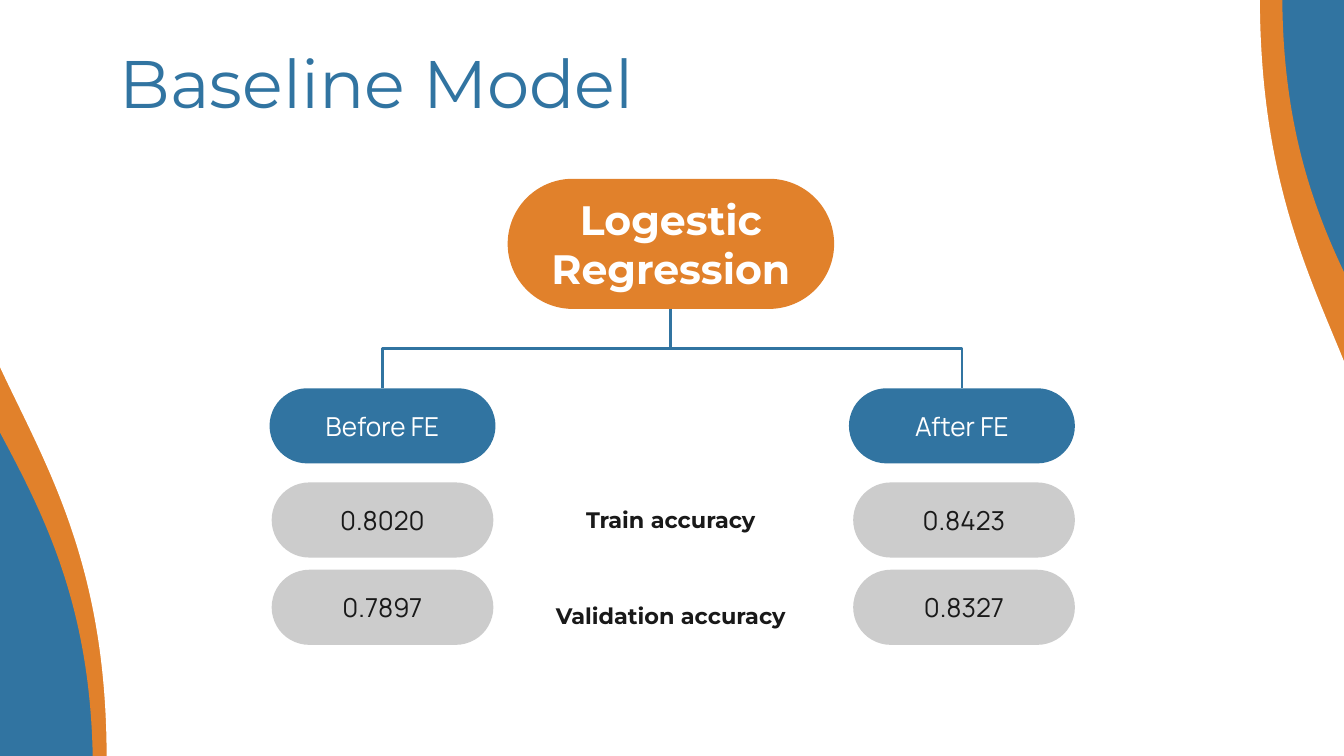
from pptx import Presentation
from pptx import util as u
from pptx.dml.color import RGBColor
from pptx.enum import shapes, text
from pptx.oxml.ns import qn
from lxml import etree

BLUE = RGBColor(0x31, 0x74, 0xA1)
ORANGE = RGBColor(0xE1, 0x81, 0x2B)
GREY = RGBColor(0xCC, 0xCC, 0xCC)
WHITE = RGBColor(0xFF, 0xFF, 0xFF)
INK = RGBColor(0x19, 0x19, 0x19)
HEAD, BODY = "Montserrat", "Manrope"
KIND = shapes.MSO_SHAPE


class Deck:
    def __init__(self):
        self.prs = Presentation()
        self.prs.slide_width = u.Cm(25.4)
        self.prs.slide_height = u.Cm(14.29)
        self.slide = self.prs.slides.add_slide(self.prs.slide_layouts[5])
        fill = self.slide.background.fill
        fill.solid()
        fill.fore_color.rgb = BLUE

    def label(self, shape, words, size, font, color, bold=False,
              align=text.PP_ALIGN.CENTER):
        frame = shape.text_frame
        frame.word_wrap = True
        frame.auto_size = text.MSO_AUTO_SIZE.NONE
        frame.vertical_anchor = text.MSO_ANCHOR.MIDDLE
        frame.margin_left = frame.margin_right = u.Cm(0.25)
        frame.margin_top = frame.margin_bottom = u.Cm(0.25)
        para = frame.paragraphs[0]
        para.alignment = align
        run = para.add_run()
        run.text = words
        run.font.size = u.Pt(size)
        run.font.name = font
        run.font.bold = bold
        run.font.color.rgb = color

    def block(self, kind, left, top, width, height, fill):
        shape = self.slide.shapes.add_shape(
            kind, u.Cm(left), u.Cm(top), u.Cm(width), u.Cm(height))
        shape.shadow.inherit = False
        shape.fill.solid()
        shape.fill.fore_color.rgb = fill
        shape.line.fill.background()
        return shape

    def wave(self, left, top, width, height, turn, fill):
        shape = self.block(KIND.FLOWCHART_DOCUMENT, left, top, width, height, fill)
        shape.rotation = turn

    def title(self, words, left, top, width, height):
        shape = self.slide.shapes.title
        shape.left, shape.top = u.Cm(left), u.Cm(top)
        shape.width, shape.height = u.Cm(width), u.Cm(height)
        self.label(shape, words, 36, HEAD, BLUE, align=text.PP_ALIGN.LEFT)
        self.slide.shapes._spTree.append(shape._element)

    def pill(self, words, mid, top, width, height, fill, size, font, color, bold=False):
        shape = self.block(KIND.ROUNDED_RECTANGLE, mid - width / 2, top,
                           width, height, fill)
        shape.adjustments[0] = 0.5
        self.label(shape, words, size, font, color, bold)

    def link(self, x1, y1, x2, y2):
        wide, high = y2 - y1, abs(x2 - x1)
        left, top = (x1 + x2 - wide) / 2, (y1 + y2 - high) / 2
        start, end, turn = left, left + wide, 90
        if x2 > x1:
            start, end, turn = end, start, 270
        line = self.slide.shapes.add_connector(
            shapes.MSO_CONNECTOR.ELBOW, u.Cm(start), u.Cm(top),
            u.Cm(end), u.Cm(top + high))
        line.line.color.rgb = BLUE
        line.line.width = u.Pt(1.5)
        props = line._element.spPr
        props.find(qn("a:xfrm")).set("rot", str(turn * 60000))
        etree.SubElement(props, qn("a:effectLst"))


def main():
    deck = Deck()
    deck.wave(-0.43, -0.97, 14.43, 16.66, 90, ORANGE)
    deck.wave(11.99, -1.22, 14.43, 16.66, 270, ORANGE)
    deck.wave(12.67, 0.61, 14.43, 13, 270, WHITE)
    deck.wave(-0.71, -1.04, 14.96, 15.75, 90, WHITE)
    deck.title("Baseline Model", 2.01, 0.86, 21.41, 1.35)

    mid, high = 12.68, 1.42
    rows = (9.12, 10.77)
    deck.pill("Logestic Regression", mid, 3.38, 6.17, 2.46,
              ORANGE, 22, HEAD, WHITE, True)
    for name, head, col, scores in (
            ("Before FE", 7.23, 7.23, ("0.8020", "0.7897")),
            ("After FE", 18.18, 18.22, ("0.8423", "0.8327"))):
        deck.link(mid, 5.84, head, 7.34)
        deck.pill(name, head, 7.34, 4.27, high, BLUE, 14, BODY, WHITE)
        for score, top in zip(scores, rows):
            deck.pill(score, col, top, 4.19, high, GREY, 14, BODY, INK)
    for name, top, width in (("Train accuracy", 9.42, 4.47),
                             ("Validation accuracy", 11.23, 5.38)):
        deck.pill(name, mid, top, width, 0.81, WHITE, 12, HEAD, INK, True)
    deck.prs.save("out.pptx")


if __name__ == "__main__":
    main()
